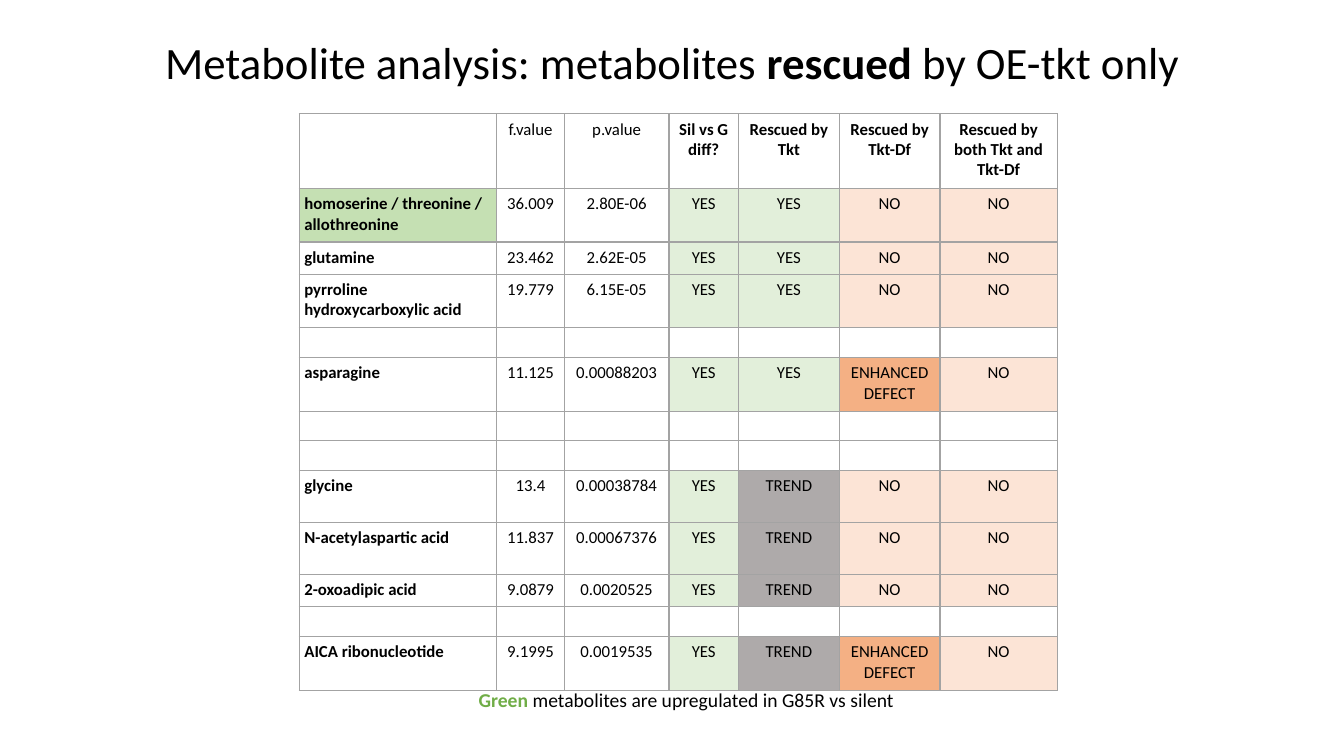
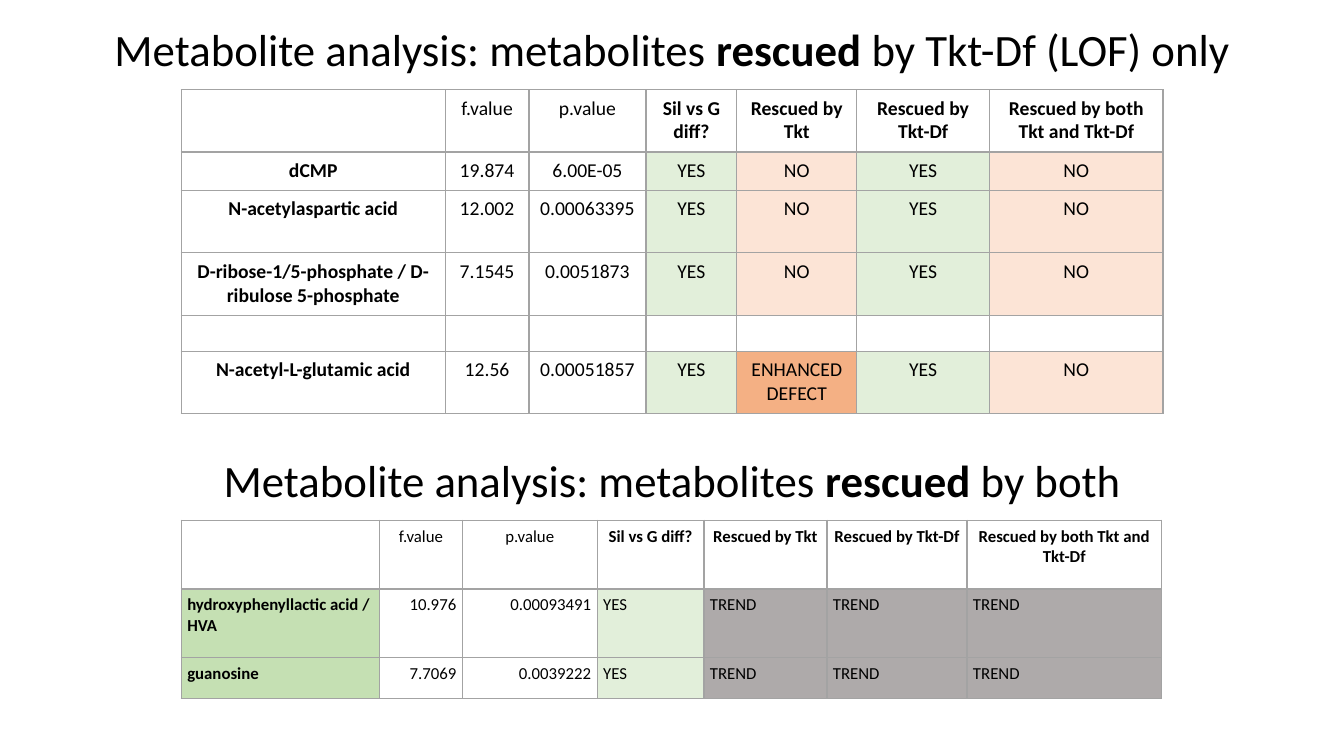
"""Build two slides of metabolite rescue tables."""
from lxml import etree
from pptx import Presentation
from pptx.dml.color import RGBColor
from pptx.enum.text import MSO_ANCHOR, PP_ALIGN
from pptx.oxml.ns import qn
from pptx.util import Cm, Pt

LEFT, CENTER, RIGHT = PP_ALIGN.LEFT, PP_ALIGN.CENTER, PP_ALIGN.RIGHT
MIDDLE = MSO_ANCHOR.MIDDLE
FONT, BLACK, WHITE, GREEN, BORDER = "Calibri", "000000", "FFFFFF", "70AD47", "A3A3A3"
UPREGULATED = "C5E0B3"
FILLS = {"YES": "E2EFDA", "NO": "FCE4D6", "TREND": "AEAAAA", "ENHANCED DEFECT": "F4B084"}
HEADER = ("", "f.value", "p.value", "Sil vs G diff?", "Rescued by Tkt",
          "Rescued by Tkt-Df", "Rescued by both Tkt and Tkt-Df")
EMPTY = ("",) * len(HEADER)
ENHANCED = "ENHANCED DEFECT"


def rgb(value):
    return RGBColor.from_string(value)


def add_text(p, text, size=12, bold=False, color=BLACK):
    r = p.add_run()
    r.text = text
    r.font.name, r.font.size, r.font.bold = FONT, Pt(size), bold
    r.font.color.rgb = rgb(color)


tkt_only = dict(
    left=7.54, top=2.87, size=12, inset=0.13, aligns=[LEFT] + [CENTER] * 6,
    widths=[4.98, 1.7, 2.64, 1.75, 2.54, 2.54, 2.95],
    heights=[1.88, 1.35, 0.81, 1.35, 0.75, 1.35, 0.75, 0.75, 1.31, 1.31, 0.81, 0.75, 1.35],
    upregulated=["homoserine / threonine / allothreonine"],
    rows=[
        ("homoserine / threonine / allothreonine", "36.009", "2.80E-06", "YES", "YES", "NO", "NO"),
        ("glutamine", "23.462", "2.62E-05", "YES", "YES", "NO", "NO"),
        ("pyrroline hydroxycarboxylic acid", "19.779", "6.15E-05", "YES", "YES", "NO", "NO"),
        EMPTY,
        ("asparagine", "11.125", "0.00088203", "YES", "YES", ENHANCED, "NO"),
        EMPTY,
        EMPTY,
        ("glycine", "13.4", "0.00038784", "YES", "TREND", "NO", "NO"),
        ("N-acetylaspartic acid", "11.837", "0.00067376", "YES", "TREND", "NO", "NO"),
        ("2-oxoadipic acid", "9.0879", "0.0020525", "YES", "TREND", "NO", "NO"),
        EMPTY,
        ("AICA ribonucleotide", "9.1995", "0.0019535", "YES", "TREND", ENHANCED, "NO"),
    ])
tkt_df_only = dict(
    left=4.57, top=2.26, size=14, inset=0.17, aligns=[CENTER] * 7,
    widths=[6.65, 2.11, 2.95, 2.29, 3.02, 3.35, 4.37],
    heights=[1.57, 0.97, 1.57, 1.57, 0.91, 1.57],
    upregulated=[],
    rows=[
        ("dCMP", "19.874", "6.00E-05", "YES", "NO", "YES", "NO"),
        ("N-acetylaspartic acid", "12.002", "0.00063395", "YES", "NO", "YES", "NO"),
        ("D-ribose-1/5-phosphate / D-ribulose 5-phosphate", "7.1545", "0.0051873",
         "YES", "NO", "YES", "NO"),
        EMPTY,
        ("N-acetyl-L-glutamic acid", "12.56", "0.00051857", "YES", ENHANCED, "YES", "NO"),
    ])
both = dict(
    left=4.57, top=13.11, size=12, inset=0.15, aligns=[LEFT, RIGHT, RIGHT] + [LEFT] * 4,
    widths=[5, 2.08, 3.4, 2.69, 3.1, 3.53, 4.9],
    heights=[1.73, 1.73, 1.04],
    upregulated=["hydroxyphenyllactic acid / HVA", "guanosine"],
    rows=[
        ("hydroxyphenyllactic acid / HVA", "10.976", "0.00093491", "YES", "TREND", "TREND", "TREND"),
        ("guanosine", "7.7069", "0.0039222", "YES", "TREND", "TREND", "TREND"),
    ])

prs = Presentation()
prs.slide_width, prs.slide_height = Cm(33.87), Cm(19.05)
slides = [
    [(0.69, " by OE-tkt only", tkt_only)],
    [(0.38, " by Tkt-Df (LOF) only", tkt_df_only), (11.23, " by both", both)],
]

for sections in slides:
    s = prs.slides.add_slide(prs.slide_layouts[6])
    for title_top, title_end, data in sections:
        tf = s.shapes.add_textbox(Cm(2.33), Cm(title_top), Cm(29.21), Cm(1.88)).text_frame
        tf.word_wrap, tf.vertical_anchor = True, MIDDLE
        p = tf.paragraphs[0]
        p.alignment, p.line_spacing = CENTER, 0.9
        add_text(p, "Metabolite analysis: metabolites ", size=32)
        add_text(p, "rescued", size=32, bold=True)
        add_text(p, title_end, size=32)

        widths, heights = data["widths"], data["heights"]
        table = s.shapes.add_table(len(heights), len(widths), Cm(data["left"]), Cm(data["top"]),
                                   Cm(sum(widths)), Cm(sum(heights))).table
        table.horz_banding = table.first_row = False
        for column, width in zip(table.columns, widths):
            column.width = Cm(width)
        for i, (height, values) in enumerate(zip(heights, [HEADER] + data["rows"])):
            table.rows[i].height = Cm(height)
            for j, value in enumerate(values):
                cell = table.cell(i, j)
                cell.margin_left = cell.margin_right = Cm(data["inset"])
                cell.margin_top = cell.margin_bottom = Cm(data["inset"])
                tcPr = cell._tc.get_or_add_tcPr()
                for side in ("a:lnL", "a:lnR", "a:lnT", "a:lnB"):
                    ln = etree.SubElement(tcPr, qn(side), w=str(Pt(1)))
                    fill = etree.SubElement(ln, qn("a:solidFill"))
                    etree.SubElement(fill, qn("a:srgbClr"), val=BORDER)
                cell.fill.solid()
                shade = UPREGULATED if value in data["upregulated"] else FILLS.get(value, WHITE)
                cell.fill.fore_color.rgb = rgb(shade)
                p = cell.text_frame.paragraphs[0]
                p.alignment = CENTER if i == 0 else data["aligns"][j]
                if value:
                    add_text(p, value, size=data["size"], bold=j > 2 if i == 0 else j == 0)
                else:
                    etree.SubElement(p._p, qn("a:endParaRPr"), sz="1000")

tf = prs.slides[0].shapes.add_textbox(Cm(11.81), Cm(17.22), Cm(11.07), Cm(0.86)).text_frame
tf.word_wrap = False
p = tf.paragraphs[0]
add_text(p, "Green", size=14, bold=True, color=GREEN)
add_text(p, " metabolites are upregulated in G85R vs silent", size=14)

prs.save("out.pptx")
